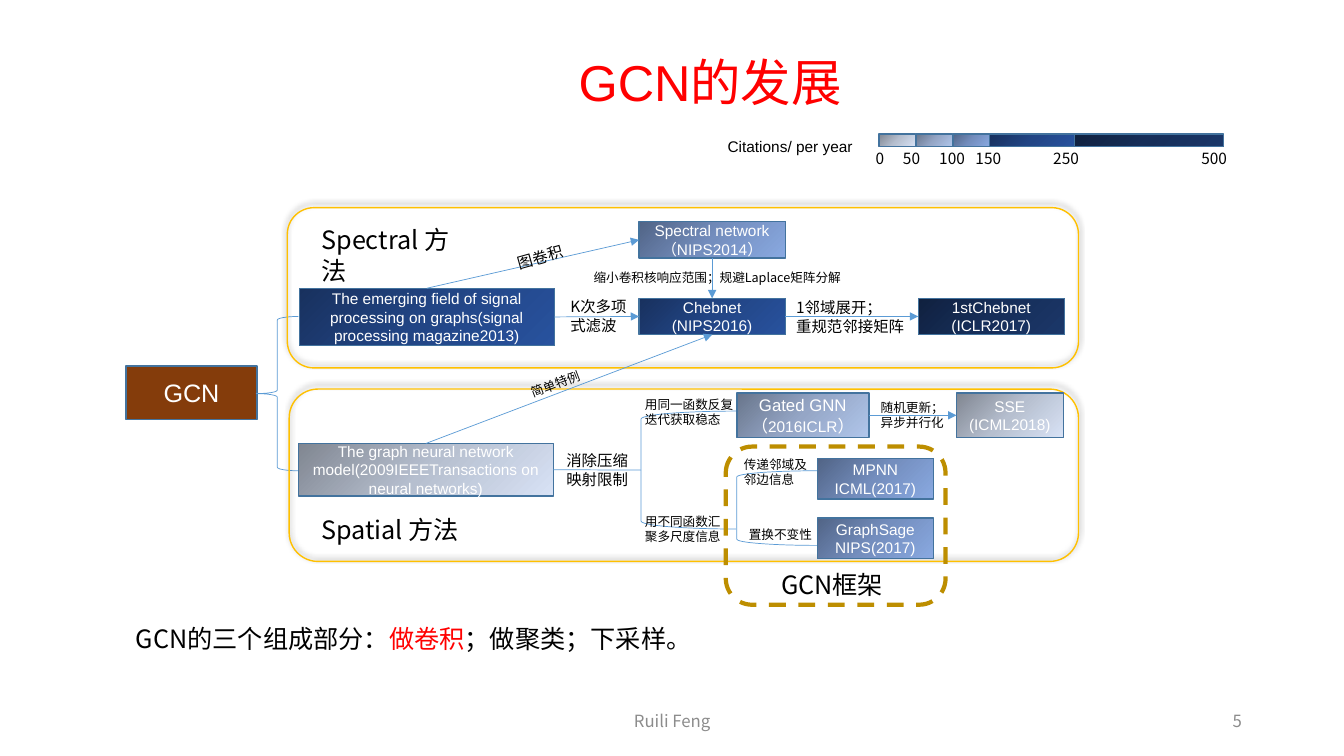
from copy import deepcopy
from itertools import accumulate
from lxml.etree import SubElement
from pptx import Presentation
from pptx.dml.color import RGBColor
from pptx.enum.dml import MSO_LINE
from pptx.enum.shapes import MSO_CONNECTOR, MSO_SHAPE
from pptx.enum.text import MSO_ANCHOR, PP_ALIGN
from pptx.oxml.ns import qn
from pptx.util import Pt

WHITE = RGBColor(0xFF, 0xFF, 0xFF)
BLACK = RGBColor(0, 0, 0)
RED = RGBColor(0xFF, 0, 0)
GREY = RGBColor(0x8C, 0x8C, 0x8C)
BROWN = RGBColor(0x84, 0x3C, 0x0B)
BORDER = RGBColor(0x43, 0x73, 0x9E)
BLUE = RGBColor(0x5B, 0x9B, 0xD5)
GOLD = RGBColor(0xFF, 0xC0, 0x00)
DARK_GOLD = RGBColor(0xBD, 0x8E, 0x00)

# Gradients by citations per year: start, middle, end
UP_TO_50 = RGBColor(0x80, 0x86, 0x91), RGBColor(0xB6, 0xBF, 0xCF), RGBColor(0xD8, 0xE2, 0xF5)
UP_TO_100 = RGBColor(0x68, 0x75, 0x8B), RGBColor(0x95, 0xA6, 0xC6), RGBColor(0xB0, 0xC6, 0xEB)
UP_TO_150 = RGBColor(0x51, 0x64, 0x86), RGBColor(0x74, 0x8E, 0xBE), RGBColor(0x89, 0xA9, 0xE1)
UP_TO_250 = RGBColor(0x18, 0x31, 0x5E), RGBColor(0x22, 0x45, 0x85), RGBColor(0x28, 0x52, 0x9E)
UP_TO_500 = RGBColor(0x10, 0x21, 0x3F), RGBColor(0x16, 0x2E, 0x59), RGBColor(0x1B, 0x37, 0x69)

SANS, CJK = "Arial", "Noto Sans CJK SC"
TOP, LEFT, BOTTOM, RIGHT = range(4)  # connection sites


def within(box, x, y, w, h):
    """Turn a place relative to box into a place on the slide, in points."""
    return box[0] + x, box[1] + y, w, h


def write(tf, paragraphs, align, **fmt):
    """Fill tf; a paragraph is a string or a list of (text, format changes)."""
    tf.word_wrap = True
    for i, runs in enumerate(paragraphs):
        p = tf.paragraphs[0] if i == 0 else tf.add_paragraph()
        p.alignment = align
        for text, changes in [(runs, {})] if isinstance(runs, str) else runs:
            r = p.add_run()
            r.text = text
            values = {**fmt, **changes}
            r.font.color.rgb = values.pop("color")
            for name, value in values.items():
                setattr(r.font, name, value)
            SubElement(r.font._element, qn("a:ea"), typeface=CJK)


def label(s, box, *paragraphs, size=11, color=BLACK, name=CJK,
          align=PP_ALIGN.LEFT, anchor=MSO_ANCHOR.TOP, rotation=0):
    tb = s.shapes.add_textbox(*map(Pt, box))
    tb.rotation = rotation
    tb.text_frame.vertical_anchor = anchor
    write(tb.text_frame, paragraphs, align, size=Pt(size), color=color, name=name)
    return tb


def outline(s, kind, box, color, width):
    sp = s.shapes.add_shape(kind, *map(Pt, box))
    sp.shadow.inherit = False
    sp.fill.background()
    sp.line.color.rgb = color
    sp.line.width = Pt(width)
    return sp


def node(s, box, fill, *paragraphs, size=11):
    sp = outline(s, MSO_SHAPE.RECTANGLE, box, BORDER, 1)
    if isinstance(fill, RGBColor):
        sp.fill.solid()
        sp.fill.fore_color.rgb = fill
    else:
        sp.fill.gradient()
        sp.fill.gradient_angle = 315
        stops = sp._element.spPr.find(".//" + qn("a:gsLst"))
        stops.append(deepcopy(stops[-1]))
        for stop, color, position in zip(sp.fill.gradient_stops, fill, (0, 0.5, 1)):
            stop.color.rgb = color
            stop.position = position
    sp.text_frame.vertical_anchor = MSO_ANCHOR.MIDDLE
    write(sp.text_frame, paragraphs, PP_ALIGN.CENTER, size=Pt(size), color=WHITE, name=SANS)
    return sp


def link(s, start, start_site, end, end_site, arrow=True):
    cn = s.shapes.add_connector(MSO_CONNECTOR.STRAIGHT, 0, 0, 0, 0)
    cn.begin_connect(start, start_site)
    cn.end_connect(end, end_site)
    cn.line.color.rgb = BLUE
    cn.line.width = Pt(0.5)
    if arrow:
        SubElement(cn.line._get_or_add_ln(), qn("a:tailEnd"), type="triangle")
    SubElement(cn._element.spPr, qn("a:effectLst"))


def panel(s, box):
    """Golden rounded frame with a soft shadow above it."""
    sp = outline(s, MSO_SHAPE.ROUNDED_RECTANGLE, box, GOLD, 1)
    effects = sp._element.spPr.find(qn("a:effectLst"))
    shadow = SubElement(effects, qn("a:outerShdw"), blurRad=str(Pt(4)), dist=str(Pt(3)),
                        dir="16200000", rotWithShape="0")
    color = SubElement(shadow, qn("a:srgbClr"), val="000000")
    SubElement(color, qn("a:alpha"), val="40000")


def legend(s, box):
    label(s, within(box, 0, 0, 110, 20.6), "Citations/ per year", name=SANS)
    widths = 26.4, 26.4, 26.4, 60.5, 106.6
    starts = accumulate(widths, initial=115.2)
    fills = UP_TO_50, UP_TO_100, UP_TO_150, UP_TO_250, UP_TO_500
    for x, w, fill in zip(starts, widths, fills):
        node(s, within(box, x, 1.5, w, 8.8), fill)
    ticks = {"0": 105.8, "50": 125.3, "100": 151.2, "150": 177.1, "250": 232.6, "500": 338.4}
    for text, x in ticks.items():
        label(s, within(box, x, 8.6, 44.6, 20.6), text)


def spectral(s, box):
    """Spectral methods; returns the Chebnet node."""
    panel(s, box)
    signal = node(s, within(box, 8.6, 57.6, 182.2, 41), UP_TO_250,
                  "The emerging field of signal processing on graphs(signal processing magazine2013)")
    network = node(s, within(box, 251.3, 10.1, 104.4, 25.9), UP_TO_150,
                   "Spectral network（NIPS2014）")
    chebnet = node(s, within(box, 251.3, 64.8, 104.4, 25.9), UP_TO_250, "Chebnet", "(NIPS2016)")
    first = node(s, within(box, 450.7, 64.8, 104.4, 25.9), UP_TO_500, "1stChebnet", "(ICLR2017)")
    link(s, signal, RIGHT, chebnet, LEFT)
    link(s, signal, TOP, network, LEFT)
    link(s, network, BOTTOM, chebnet, TOP)
    link(s, chebnet, RIGHT, first, LEFT)
    label(s, within(box, 195.1, 60.5, 57.6, 33.8), "K次多项式滤波")
    label(s, within(box, 157, 24.5, 52.6, 20.9), "图卷积", rotation=344.3)
    label(s, within(box, 211.7, 41, 239, 18), "缩小卷积核响应范围；规避Laplace矩阵分解", size=9)
    label(s, within(box, 356.4, 61.2, 97.2, 33.8), "1邻域展开；", "重规范邻接矩阵")
    label(s, within(box, 17.3, 8.6, 121, 28.8), "Spectral 方法", size=18)
    return chebnet


def spatial(s, box):
    """Spatial methods; returns the graph neural network node."""
    panel(s, box)
    model = node(s, within(box, 6.5, 38.9, 182.2, 37.4), UP_TO_50,
                 "The graph neural network model(2009IEEETransactions on neural networks)")
    fork = outline(s, MSO_SHAPE.LEFT_BRACKET, within(box, 251.3, 15.8, 67.7, 84.2), BLUE, 0.5)
    link(s, model, RIGHT, fork, LEFT, arrow=False)
    gated = node(s, within(box, 319.7, 2.9, 94.3, 31.7), UP_TO_100,
                 [("Gated GNN（", {}), ("2016ICLR", {"size": Pt(11)}), ("）", {})], size=12)
    sse = node(s, within(box, 476.6, 2.9, 76.3, 31.7), UP_TO_50, "SSE", "(ICML2018)")
    link(s, gated, RIGHT, sse, LEFT)
    label(s, within(box, 190.8, 41, 66.2, 33.8), "消除压缩映射限制")
    label(s, within(box, 247, 2.2, 82.1, 28.8), "用同一函数反复迭代获取稳态", size=9)
    label(s, within(box, 247, 85.7, 72, 28.8), "用不同函数汇聚多尺度信息", size=9)
    label(s, within(box, 415.4, 4.3, 66.2, 28.8), "随机更新；", "异步并行化", size=9)
    label(s, within(box, 15.8, 85.7, 121, 28.8), "Spatial 方法", size=18)
    return model


def framework(s, box):
    frame = outline(s, MSO_SHAPE.ROUNDED_RECTANGLE, box, DARK_GOLD, 3)
    frame.line.dash_style = MSO_LINE.DASH
    outline(s, MSO_SHAPE.LEFT_BRACKET, within(box, 7.9, 17.3, 57.6, 53.3), BLUE, 0.5)
    node(s, within(box, 65.5, 8.6, 82.8, 28.8), UP_TO_150, "MPNN", "ICML(2017)")
    node(s, within(box, 65.5, 51.1, 82.8, 28.8), UP_TO_150, "GraphSage", "NIPS(2017)")
    label(s, within(box, 5.8, 3.6, 65.5, 28.8), "传递邻域及邻边信息", size=9)
    label(s, within(box, 9.4, 54, 65.5, 18), "置换不变性", size=9)
    label(s, within(box, 32.4, 84.2, 101.5, 28.8), "GCN框架", size=18)


def root(s, box):
    node(s, within(box, 0, 35.3, 93.6, 38.2), BROWN, "GCN", size=18)
    outline(s, MSO_SHAPE.LEFT_BRACE, within(box, 93, 0, 30.2, 110.2), BLUE, 0.5)


def headings(s, box):
    """Title, closing line and footer."""
    centred = {"align": PP_ALIGN.CENTER, "anchor": MSO_ANCHOR.MIDDLE}
    title = label(s, within(box, 121, 28.8, 772.6, 63.4), "GCN的发展",
                  size=36, color=RED, name=SANS, **centred)
    title.text_frame.paragraphs[0].line_spacing = 0.9
    label(s, within(box, 90, 442, 550, 28.8),
          [("GCN的三个组成部分：", {}), ("做卷积", {"color": RED}), ("；做聚类；下采样。", {})], size=18)
    label(s, within(box, 318.2, 500.4, 324, 28.8), "Ruili Feng", size=12, color=GREY, **centred)
    label(s, within(box, 678.2, 500.4, 216, 28.8), "5", size=12, color=GREY,
          align=PP_ALIGN.RIGHT, anchor=MSO_ANCHOR.MIDDLE)


def main():
    prs = Presentation()
    prs.slide_width, prs.slide_height = Pt(960), Pt(540)
    s = prs.slides.add_slide(prs.slide_layouts[6])
    headings(s, (0, 0, 960, 540))
    legend(s, (512.6, 94.3, 383, 29.2))
    root(s, (90, 226.1, 123.2, 110.2))
    chebnet = spectral(s, (205.2, 148.3, 565.2, 114.5))
    model = spatial(s, (206.6, 277.9, 563.8, 123.1))
    framework(s, (518.4, 319, 157, 113))
    link(s, model, TOP, chebnet, BOTTOM)
    label(s, (371.5, 264.2, 56.2, 18), "简单特例", size=9, rotation=339.1)
    prs.save("out.pptx")


if __name__ == "__main__":
    main()
